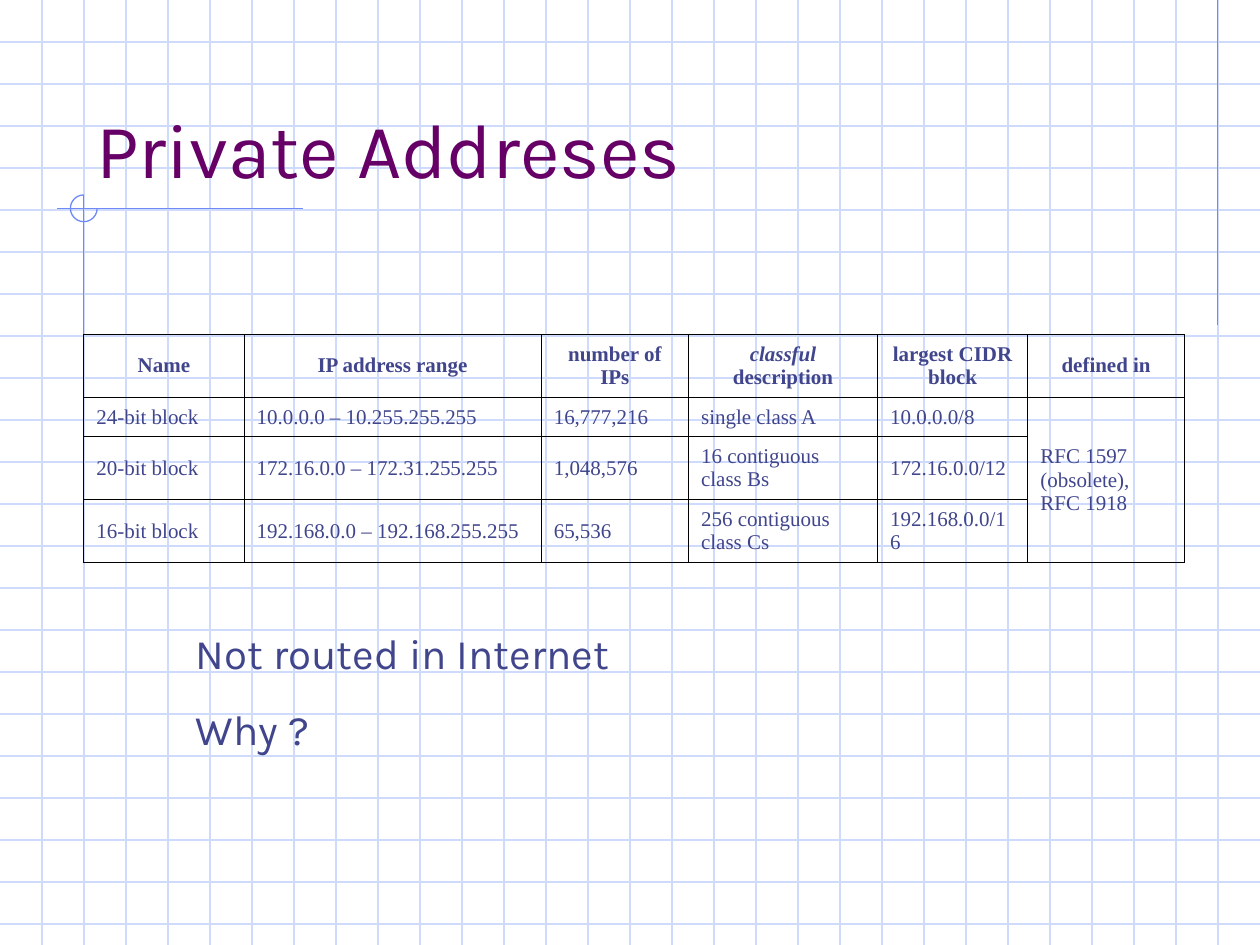
from lxml import etree
from pptx import Presentation
from pptx.dml.color import RGBColor
from pptx.enum.shapes import MSO_CONNECTOR, MSO_SHAPE
from pptx.enum.text import MSO_ANCHOR, PP_ALIGN
from pptx.oxml.ns import qn
from pptx.util import Cm, Pt

STRAIGHT = MSO_CONNECTOR.STRAIGHT
ARC = MSO_SHAPE.ARC
TOP, MIDDLE, BOTTOM = MSO_ANCHOR.TOP, MSO_ANCHOR.MIDDLE, MSO_ANCHOR.BOTTOM
CENTER, LEFT = PP_ALIGN.CENTER, PP_ALIGN.LEFT

TITLE = "Private Addreses"
NOTES = ["Not routed in Internet", "Why ?"]
HEADER = ["Name", "IP address range", "number of IPs", "classful description",
          "largest CIDR block", "defined in"]
BLOCKS = [
    ["24-bit block", "10.0.0.0 – 10.255.255.255", "16,777,216", "single class A",
     "10.0.0.0/8", "RFC 1597 (obsolete), RFC 1918"],
    ["20-bit block", "172.16.0.0 – 172.31.255.255", "1,048,576",
     "16 contiguous class Bs", "172.16.0.0/12", ""],
    ["16-bit block", "192.168.0.0 – 192.168.255.255", "65,536",
     "256 contiguous class Cs", "192.168.0.0/16", ""],
]
ITALIC_WORD = "classful"
COLUMN_WIDTHS = [3.23, 5.99, 2.97, 3.81, 3.03, 3.16]
ROW_HEIGHTS = [1.27, 0.79, 1.27, 1.27]

WIDTH, HEIGHT = 25.4, 19.05
GRID_STEP = WIDTH / 30
GRID_COLOR, ACCENT, PURPLE, INK = "CFDBFD", "6F89F7", "660066", "40458C"
HEADING_FONT, TABLE_FONT = "Karla", "Times New Roman"
CROSS_X, CROSS_Y, CROSS_RADIUS = 1.69, 4.2, 0.27
ACCENT_LINES = [
    (24.55, 0, 24.55, 6.55),
    (6.1, CROSS_Y, 1.15, CROSS_Y),
    (CROSS_X, 3.93, CROSS_X, 10.4),
]


def rgb(value):
    return RGBColor.from_string(value)


def add_line(slide, ends, color):
    line = slide.shapes.add_connector(STRAIGHT, *[Cm(end) for end in ends])
    line.line.color.rgb = rgb(color)
    line.line.width = Pt(0.75)
    etree.SubElement(line._element.spPr, qn("a:effectLst"))


def set_font(paragraph, name, size, color, bold=False):
    font = paragraph.font
    font.name, font.size, font.bold = name, Pt(size), bold
    font.color.rgb = rgb(color)


def add_text(slide, box, lines, size, color, anchor=TOP, space_before=0):
    shape = slide.shapes.add_textbox(*[Cm(length) for length in box])
    frame = shape.text_frame
    frame.word_wrap = True
    frame.vertical_anchor = anchor
    frame.text = "\n".join(lines)
    for paragraph in frame.paragraphs:
        paragraph.space_before = Pt(space_before)
        set_font(paragraph, HEADING_FONT, size, color)


def add_cell_borders(cell):
    properties = cell._tc.get_or_add_tcPr()
    for side in ("lnL", "lnR", "lnT", "lnB"):
        border = etree.SubElement(properties, qn(f"a:{side}"), w=str(Pt(0.45)))
        fill = etree.SubElement(border, qn("a:solidFill"))
        etree.SubElement(fill, qn("a:srgbClr"), val="000000")


def fill_cell(cell, text, is_header):
    add_cell_borders(cell)
    cell.fill.background()
    cell.vertical_anchor = MIDDLE
    paragraph = cell.text_frame.paragraphs[0]
    paragraph.alignment = CENTER if is_header else LEFT
    set_font(paragraph, TABLE_FONT, 12, INK, is_header)
    if text.startswith(ITALIC_WORD):
        run = paragraph.add_run()
        run.text = ITALIC_WORD
        run.font.italic = True
        text = text.removeprefix(ITALIC_WORD)
    if text:
        paragraph.add_run().text = text


def add_background(slide):
    for row in range(1, int(HEIGHT / GRID_STEP) + 1):
        add_line(slide, (0, row * GRID_STEP, WIDTH, row * GRID_STEP), GRID_COLOR)
    for column in range(1, 30):
        add_line(slide, (column * GRID_STEP, 0, column * GRID_STEP, HEIGHT), GRID_COLOR)
    for ends in ACCENT_LINES:
        add_line(slide, ends, ACCENT)
    arc = slide.shapes.add_shape(
        ARC, Cm(CROSS_X - CROSS_RADIUS), Cm(CROSS_Y - CROSS_RADIUS),
        Cm(2 * CROSS_RADIUS), Cm(2 * CROSS_RADIUS))
    arc.adjustments[0] = 0
    arc.adjustments[1] = 162  # 270 degrees, in units of 100000/60000 degree
    arc.shadow.inherit = False
    arc.fill.background()
    arc.line.color.rgb = rgb(ACCENT)
    arc.line.width = Pt(0.75)


def add_address_table(slide):
    rows = [HEADER] + BLOCKS
    table = slide.shapes.add_table(
        len(rows), len(HEADER), Cm(1.69), Cm(6.74),
        Cm(sum(COLUMN_WIDTHS)), Cm(sum(ROW_HEIGHTS))).table
    table.first_row = table.horz_banding = False
    for column, width in zip(table.columns, COLUMN_WIDTHS):
        column.width = Cm(width)
    for row, height in zip(table.rows, ROW_HEIGHTS):
        row.height = Cm(height)
    for row_index, texts in enumerate(rows):
        for column_index, text in enumerate(texts):
            fill_cell(table.cell(row_index, column_index), text, row_index == 0)
    last = len(HEADER) - 1
    table.cell(1, last).merge(table.cell(len(BLOCKS), last))


def main():
    presentation = Presentation()
    presentation.slide_width, presentation.slide_height = Cm(WIDTH), Cm(HEIGHT)
    slide = presentation.slides.add_slide(presentation.slide_layouts[6])
    add_background(slide)
    add_text(slide, (1.69, 0.85, 21.59, 3.18), [TITLE], 44, PURPLE, anchor=BOTTOM)
    add_address_table(slide)
    add_text(slide, (3.7, 12.52, 14.4, 2.82), NOTES, 24, INK, space_before=15)
    presentation.save("out.pptx")


if __name__ == "__main__":
    main()
